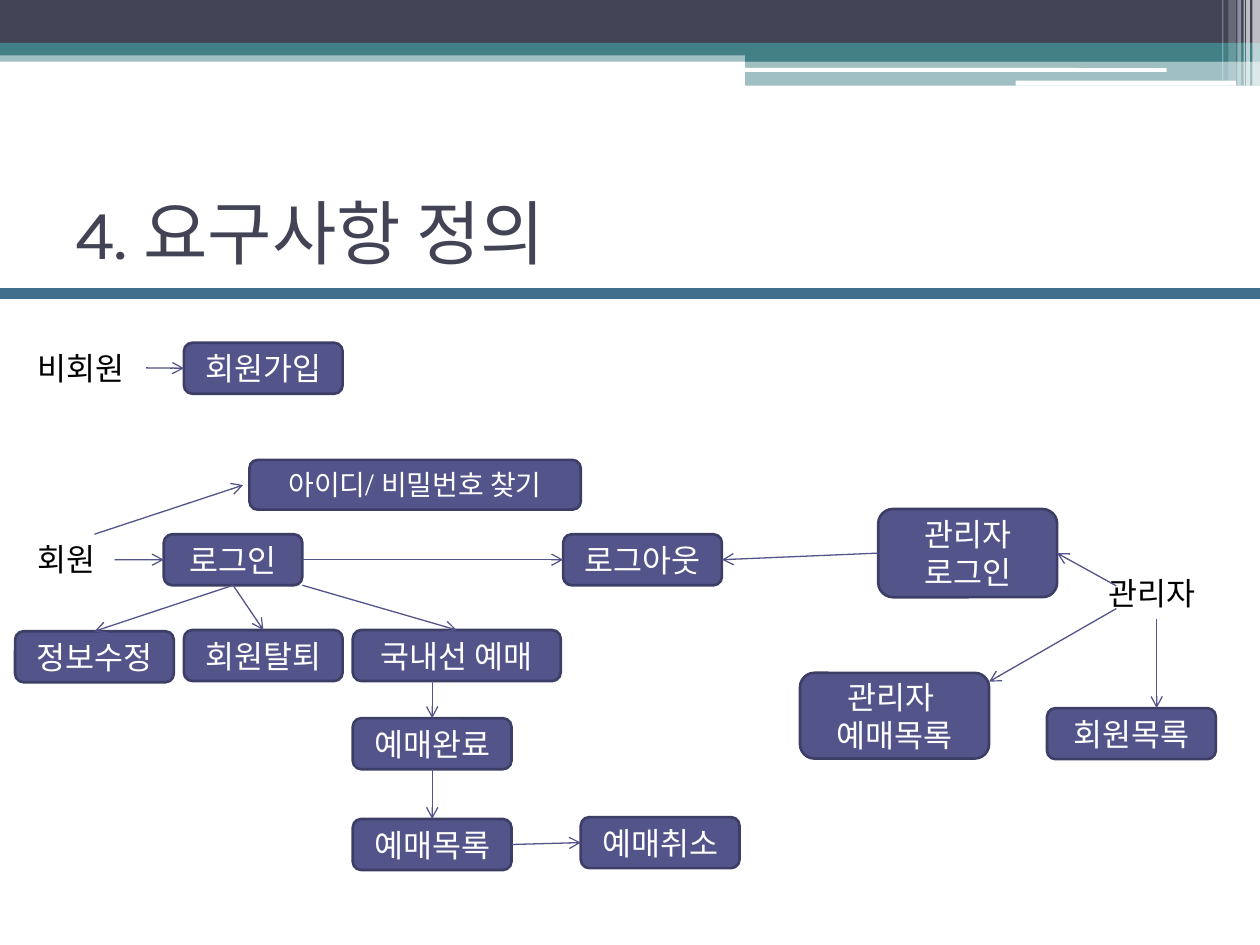
from collections import namedtuple

from lxml.etree import SubElement
from pptx import Presentation
from pptx.dml.color import RGBColor
from pptx.enum.shapes import MSO_CONNECTOR, MSO_SHAPE
from pptx.enum.text import MSO_ANCHOR, MSO_AUTO_SIZE, PP_ALIGN
from pptx.oxml.ns import qn
from pptx.util import Inches, Pt

COLUMNS, ROWS = 100, 75  # one grid cell is a tenth of an inch
CELL = Inches(0.1)
TITLE_FONT, BODY_FONT = "Karla", "TeX Gyre Schola"
INK, TEAL, WHITE, BLACK = "424456", "438086", "FFFFFF", "000000"
RULE, INDIGO, EDGE = "406F8D", "53548A", "3D3E66"
TOP, LEFT, BOTTOM, RIGHT = range(4)  # connection sites of a screen
SCREEN_WIDTH, SCREEN_HEIGHT = 12.6, 4.05

Box = namedtuple("Box", "left top width height")


def color(value):
    """Turn a hex string into a colour."""
    return RGBColor.from_string(value)


def spot(box, x, y):
    """Slide position of a grid point inside a box."""
    return round((box.left + x) * CELL), round((box.top + y) * CELL)


def place(box, x, y, width, height):
    """Slide rectangle of a grid area inside a box."""
    return (*spot(box, x, y), round(width * CELL), round(height * CELL))


def add_block(page, box, area, fill, alpha=100, kind=MSO_SHAPE.RECTANGLE):
    """Add a plain filled shape, optionally see-through."""
    block = page.shapes.add_shape(kind, *place(box, *area))
    block.shadow.inherit = False
    block.fill.solid()
    block.fill.fore_color.rgb = color(fill)
    block.line.fill.background()
    if alpha < 100:
        tint = block.fill._xPr.find(".//" + qn("a:srgbClr"))
        SubElement(tint, qn("a:alpha")).set("val", str(alpha * 1000))
    return block


def write(shape, text, size, ink, font=BODY_FONT, align=PP_ALIGN.LEFT):
    """Write one paragraph for each line of the text."""
    frame = shape.text_frame
    frame.text = text
    for para in frame.paragraphs:
        para.alignment = align
        para.font.size = Pt(size)
        para.font.name = font
        para.font.color.rgb = color(ink)
    return frame


def add_line(page, start, end, ink, weight):
    """Add a straight line between two slide positions."""
    line = page.shapes.add_connector(MSO_CONNECTOR.STRAIGHT, *start, *end)
    line.line.color.rgb = color(ink)
    line.line.width = Pt(weight)
    SubElement(line._element.spPr, qn("a:effectLst"))
    return line


def add_arrow(page, box, start, end):
    """Add an arrow; each end is a grid point or a (screen, site) pair."""
    ends = [spot(box, *end_) if isinstance(end_[0], (int, float)) else None
            for end_ in (start, end)]
    arrow = add_line(page, ends[0] or (0, 0), ends[1] or (0, 0), INDIGO, 0.75)
    if ends[0] is None:
        arrow.begin_connect(*start)
    if ends[1] is None:
        arrow.end_connect(*end)
    SubElement(arrow.line._ln, qn("a:tailEnd")).set("type", "arrow")


def add_screen(page, box, text, x, y, width=SCREEN_WIDTH,
               height=SCREEN_HEIGHT, size=18):
    """Add a rounded box that stands for one screen."""
    screen = add_block(page, box, (x, y, width, height), INDIGO,
                       kind=MSO_SHAPE.ROUNDED_RECTANGLE)
    screen.line.color.rgb = color(EDGE)
    screen.line.width = Pt(1.5)
    frame = write(screen, text, size, WHITE, align=PP_ALIGN.CENTER)
    frame.vertical_anchor = MSO_ANCHOR.MIDDLE
    return screen


def add_actor(page, box, text, x, y, width):
    """Add the plain label of a user role."""
    label = page.shapes.add_textbox(*place(box, x, y, width, SCREEN_HEIGHT))
    frame = write(label, text, 18, BLACK)
    frame.word_wrap = False
    frame.auto_size = MSO_AUTO_SIZE.SHAPE_TO_FIT_TEXT


def add_header(page, box):
    """Draw the layered bands and the light stripes at their right end."""
    half = 59.15
    rest = box.width - half
    for area, fill, alpha in (
        ((0, 4.0, box.width, 0.9), TEAL, 50),
        ((0, 0, box.width, 3.4), INK, 100),
        ((0, 3.4, box.width, 1.0), TEAL, 100),
        ((half, 3.9, rest, 1.0), TEAL, 100),
        ((half, 4.8, rest, 2.0), TEAL, 50),
    ):
        add_block(page, box, area, fill, alpha)
    for area in ((59.1, 5.4, 33.5, 0.3), (80.6, 6.4, 17.5, 0.4)):
        add_block(page, box, area, WHITE, kind=MSO_SHAPE.ROUNDED_RECTANGLE)
    for x, width, height, alpha in (
        (99.4, 0.6, 6.8, 65), (98.9, 0.3, 6.8, 65), (98.7, 0.1, 6.8, 60),
        (98.2, 0.3, 6.8, 40), (97.5, 0.6, 6.4, 20), (97.0, 0.1, 6.4, 30),
    ):
        add_block(page, box, (x, 0, width, height), WHITE, alpha)


def add_title(page, box, text):
    """Write the slide title above a rule across the slide."""
    title = page.shapes.add_textbox(*place(box, 5, 0, 90, box.height))
    frame = write(title, text, 40, INK, TITLE_FONT)
    frame.word_wrap = True
    frame.vertical_anchor = MSO_ANCHOR.MIDDLE
    add_line(page, spot(box, 0, 10.8), spot(box, box.width, 10.8), RULE, 6)


def add_guest_flow(page, box):
    """Draw the way of a visitor to the sign-up screen."""
    add_actor(page, box, "비회원", 0, 0, 9.6)
    sign_up = add_screen(page, box, "회원가입", 12.6, 0)
    add_arrow(page, box, (9.6, 2), (sign_up, LEFT))


def add_member_flow(page, box):
    """Draw the member's screens and return the logout screen."""
    add_actor(page, box, "회원", 0.8, 5.9, 7.1)
    find = add_screen(page, box, "아이디/ 비밀번호 찾기", 18.6, 0, 26.3, 3.95, 16)
    login = add_screen(page, box, "로그인", 11.8, 5.9, 11)
    logout = add_screen(page, box, "로그아웃", 43.5, 5.9)
    edit = add_screen(page, box, "정보수정", 0, 13.6)
    leave = add_screen(page, box, "회원탈퇴", 13.4, 13.5)
    book = add_screen(page, box, "국내선 예매", 26.8, 13.5, 16.5)
    done = add_screen(page, box, "예매완료", 26.8, 20.5)
    bookings = add_screen(page, box, "예매목록", 26.8, 28.5)
    cancel = add_screen(page, box, "예매취소", 44.9, 28.35)
    for start, end in (
        ((6.3, 5.9), (18.1, 2)),
        ((7.9, 7.93), (login, LEFT)),
        ((login, RIGHT), (logout, LEFT)),
        ((login, BOTTOM), (edit, TOP)),
        ((login, BOTTOM), (leave, TOP)),
        ((22.8, 9.95), (book, TOP)),
        ((33.1, 17.55), (done, TOP)),
        ((done, BOTTOM), (bookings, TOP)),
        ((bookings, RIGHT), (cancel, LEFT)),
    ):
        add_arrow(page, box, start, end)
    return logout


def add_admin_flow(page, box, logout):
    """Draw the administrator's screens, joined to the logout screen."""
    login = add_screen(page, box, "관리자\n로그인", 6.2, 0, 14.2, 7)
    add_screen(page, box, "관리자 \n예매목록", 0, 13, 15, 6.8)
    members = add_screen(page, box, "회원목록", 19.6, 15.8, 13.4)
    add_actor(page, box, "관리자", 23.5, 4.7, 9.6)
    for start, end in (
        ((25.1, 6.1), (login, RIGHT)),
        ((login, LEFT), (logout, RIGHT)),
        ((28.3, 8.7), (28.3, 15.8)),
        ((25.1, 7.9), (15, 13.7)),
    ):
        add_arrow(page, box, start, end)


def build_flow_slide(deck):
    """Put the header, the title and the three flows on a blank page."""
    page = deck.slides.add_slide(deck.slide_layouts[6])
    add_header(page, Box(0, 0, COLUMNS, 6.8))
    add_title(page, Box(0, 12.5, COLUMNS, 11.7), "4. 요구사항 정의")
    add_guest_flow(page, Box(2, 27.2, 25.2, 4.05))
    logout = add_member_flow(page, Box(1.2, 36.5, 57.5, 32.55))
    add_admin_flow(page, Box(63.5, 40.4, 33.1, 19.85), logout)


deck = Presentation()
deck.slide_width, deck.slide_height = COLUMNS * CELL, ROWS * CELL
build_flow_slide(deck)
deck.save("out.pptx")
